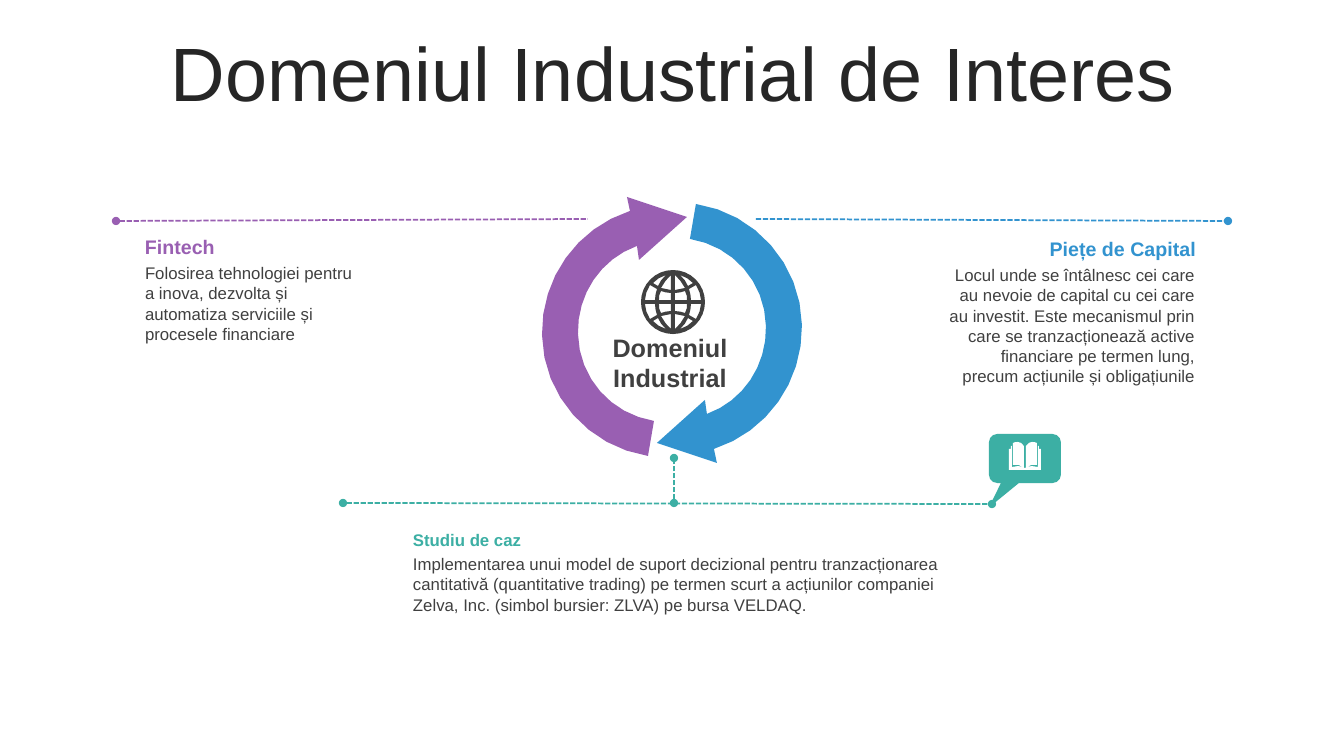
from math import cos, pi, sin

from lxml.etree import SubElement
from pptx import Presentation
from pptx.dml.color import RGBColor
from pptx.enum.dml import MSO_LINE
from pptx.enum.shapes import MSO_CONNECTOR, MSO_SHAPE
from pptx.enum.text import MSO_ANCHOR, PP_ALIGN
from pptx.oxml.ns import qn
from pptx.util import Emu, Pt

PX = 12192000 / 1344
FONT = "Arial"
COLORS = {
    "title": "262626", "text": "404040", "white": "FFFFFF",
    "purple": "995FB2", "blue": "3293CF", "teal": "3CAFA4",
}
LEFT, CENTER, RIGHT = PP_ALIGN.LEFT, PP_ALIGN.CENTER, PP_ALIGN.RIGHT
QUADRANTS = [(1, 1), (-1, 1), (-1, -1), (1, -1)]

ARROW = [
    (-45, -133), (15, -113), (-33, -70), (-35, -84),
    (-71, -71, -95, -36, -94, 4), (-93, 48, -61, 84, -18, 91), (-24, 126),
    (-83, 117, -129, 66, -130, 5), (-131, -52, -95, -102, -42, -119),
]
GLOBE_PANES = [
    [(15, 16), (13, 20, 11, 24, 7, 27), (12, 25, 17, 23, 20, 19), (15, 16)],
    [(2, 12), (2, 27), (6, 24, 9, 19, 12, 14), (9, 13, 5, 13, 2, 12)],
    [(18, 2), (18, 6, 17, 10, 16, 13), (23, 17), (26, 12, 28, 7, 28, 2)],
    [(2, 2), (2, 9), (6, 9, 9, 10, 12, 11), (14, 8, 14, 5, 14, 2)],
]
BOOK_HALF = [
    [(1, 4), (3, 1, 5, 0, 7, 0), (9, 0, 10, 0, 12, 1), (12, 23), (8, 22, 4, 23, 1, 26)],
    [(13, 4), (14, 4), (14, 7), (16, 7), (16, 28), (0, 28), (0, 26), (5, 24, 8, 23, 13, 25)],
]


def emu(px):
    return Emu(round(px * PX))


def rgb(name):
    return RGBColor.from_string(COLORS[name])


def flatten(contour, steps):
    points = []
    for seg in contour:
        if len(seg) == 2:
            points.append(seg)
            continue
        x0, y0 = points[-1]
        x1, y1, x2, y2, x3, y3 = seg
        for i in range(1, steps + 1):
            t = i / steps
            a, b, c, d = (1 - t) ** 3, 3 * t * (1 - t) ** 2, 3 * t * t * (1 - t), t ** 3
            points.append((a * x0 + b * x1 + c * x2 + d * x3,
                           a * y0 + b * y1 + c * y2 + d * y3))
    return points


def mirror(contours, signs, steps=2):
    return [[(x * sx, y * sy) for x, y in flatten(c, steps)]
            for sx, sy in signs for c in contours]


def circle(radius, steps=32):
    angles = [2 * pi * i / steps for i in range(steps)]
    return [(radius * cos(a), radius * sin(a)) for a in angles]


def paint(s, color):
    s.shadow.inherit = False
    s.fill.solid()
    s.fill.fore_color.rgb = rgb(color)
    s.line.fill.background()


def add_outline(slide, cx, cy, contours, color):
    placed = [[(emu(cx + x), emu(cy + y)) for x, y in c] for c in contours]
    builder = slide.shapes.build_freeform(*placed[0][0], scale=1.0)
    builder.add_line_segments(placed[0][1:], close=True)
    for points in placed[1:]:
        builder.move_to(*points[0])
        builder.add_line_segments(points[1:], close=True)
    paint(builder.convert_to_shape(), color)


def add_callout(slide, x, y, w, h, color):
    s = slide.shapes.add_shape(MSO_SHAPE.ROUNDED_RECTANGULAR_CALLOUT,
                               emu(x), emu(y), emu(w), emu(h))
    for i, value in enumerate((-0.5, 1, 0.17)):
        s.adjustments[i] = value
    paint(s, color)


def add_dashed(slide, x1, y1, x2, y2, color, *ends):
    s = slide.shapes.add_connector(MSO_CONNECTOR.STRAIGHT, emu(x1), emu(y1), emu(x2), emu(y2))
    s.line.color.rgb = rgb(color)
    s.line.width = Pt(1.25)
    s.line.dash_style = MSO_LINE.SQUARE_DOT
    sp_pr = s._element.spPr
    for end in ends:
        SubElement(sp_pr.find(qn("a:ln")), qn(f"a:{end}"), type="oval")
    SubElement(sp_pr, qn("a:effectLst"))


def add_text(slide, x, y, w, h, lines, size, color, align=LEFT, bold=False):
    tf = slide.shapes.add_textbox(emu(x), emu(y), emu(w), emu(h)).text_frame
    tf.word_wrap = True
    tf.margin_left = tf.margin_right = tf.margin_top = tf.margin_bottom = 0
    for i, line in enumerate(lines):
        p = tf.add_paragraph() if i else tf.paragraphs[0]
        p.alignment = align
        r = p.add_run()
        r.text = line
        r.font.name = FONT
        r.font.size = Pt(size)
        r.font.bold = bold
        r.font.color.rgb = rgb(color)
    return tf


def main():
    prs = Presentation()
    prs.slide_width, prs.slide_height = emu(1344), emu(756)
    slide = prs.slides.add_slide(prs.slide_layouts[6])

    title = add_text(slide, 35, 37, 1276, 80, ["Domeniul Industrial de Interes"],
                     54, "title", CENTER)
    title.vertical_anchor = MSO_ANCHOR.MIDDLE
    title.paragraphs[0].line_spacing = 0.9

    for color, sign in (("purple", 1), ("blue", -1)):
        add_outline(slide, 672, 330, mirror([ARROW], [(sign, sign)], 8), color)

    add_dashed(slide, 116, 221, 588, 219, "purple", "headEnd")
    add_dashed(slide, 756, 219, 1228, 221, "blue", "tailEnd")

    add_text(slide, 145, 235, 212, 24, ["Fintech"], 14, "purple", bold=True)
    add_text(slide, 145, 263, 211, 82, [
        "Folosirea tehnologiei pentru a inova, dezvolta și automatiza "
        "serviciile și procesele financiare"], 12, "text")

    add_text(slide, 988, 237, 208, 24, ["Piețe de Capital"], 14, "blue", RIGHT, True)
    add_text(slide, 946, 265, 249, 122, [
        "Locul unde se întâlnesc cei care au nevoie de capital cu cei care au investit. "
        "Este mecanismul prin care se tranzacționează active financiare pe termen lung, "
        "precum acțiunile și obligațiunile"], 12, "text", RIGHT)

    add_callout(slide, 989, 434, 72, 49, "teal")
    add_text(slide, 413, 530, 249, 20, ["Studiu de caz"], 12, "teal", bold=True)
    add_text(slide, 413, 554, 550, 61, [
        "Implementarea unui model de suport decizional pentru tranzacționarea cantitativă "
        "(quantitative trading) pe termen scurt a acțiunilor companiei Zelva, Inc. "
        "(simbol bursier: ZLVA) pe bursa VELDAQ."], 12, "text")
    add_dashed(slide, 343, 503, 992, 504, "teal", "headEnd", "tailEnd")
    add_dashed(slide, 674, 503, 674, 458, "teal", "headEnd", "tailEnd")

    add_text(slide, 594, 332, 152, 61, ["Domeniul", "Industrial"], 18, "text", CENTER, True)
    add_outline(slide, 673, 302, [circle(32)] + mirror(GLOBE_PANES, QUADRANTS), "text")
    add_outline(slide, 1025, 442, mirror(BOOK_HALF, QUADRANTS[:2]), "white")

    prs.save("out.pptx")


if __name__ == "__main__":
    main()
